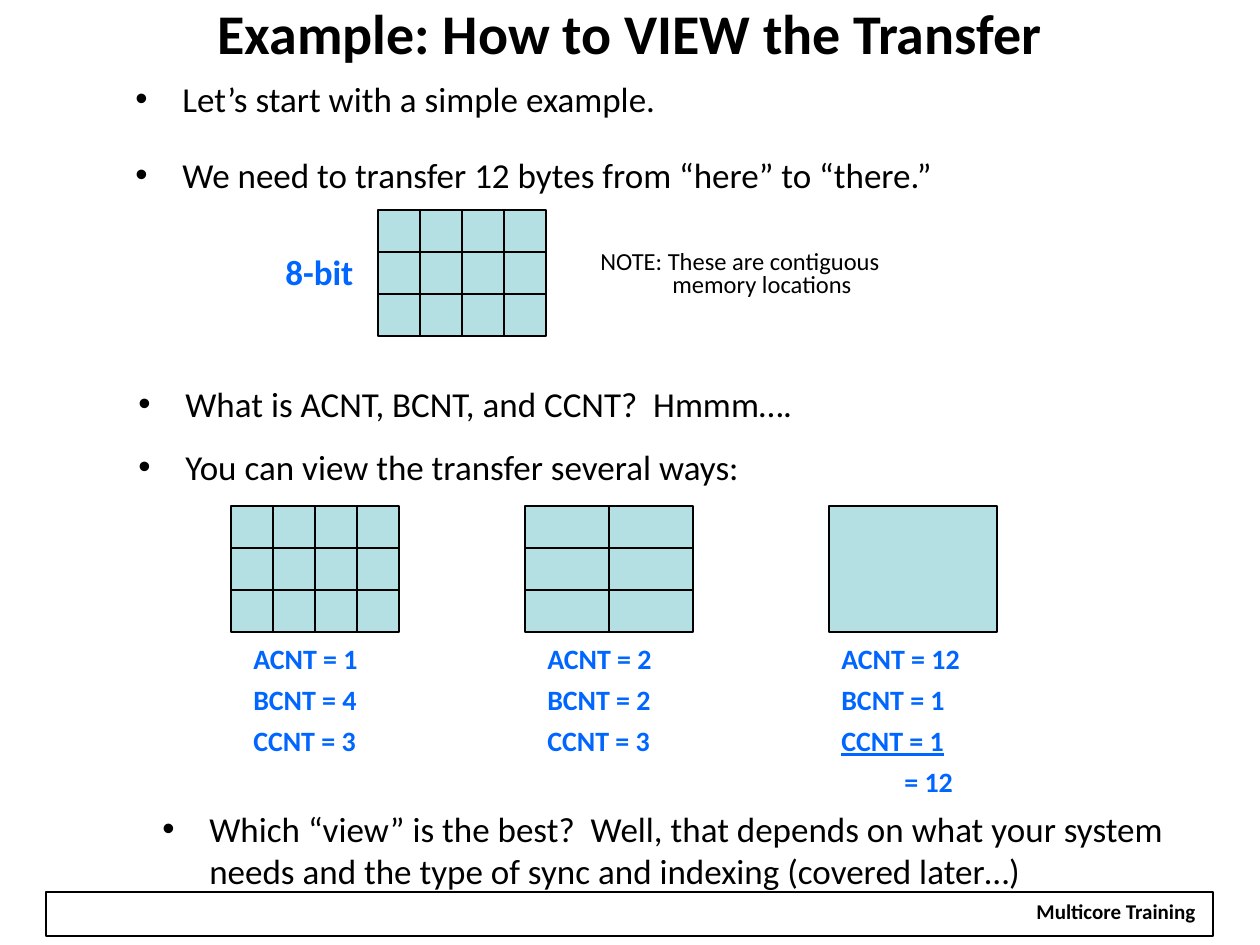
from lxml import etree
from pptx import Presentation
from pptx.dml.color import RGBColor
from pptx.enum.shapes import MSO_SHAPE
from pptx.enum.text import MSO_ANCHOR, MSO_AUTO_SIZE, PP_ALIGN
from pptx.oxml.ns import qn
from pptx.util import Emu, Pt

RECT = MSO_SHAPE.RECTANGLE
TOP, MIDDLE = MSO_ANCHOR.TOP, MSO_ANCHOR.MIDDLE
LEFT, CENTER = PP_ALIGN.LEFT, PP_ALIGN.CENTER
BLACK = RGBColor(0x00, 0x00, 0x00)
BLUE = RGBColor(0x00, 0x66, 0xFF)
TEAL = RGBColor(0xB5, 0xE0, 0xE3)
FONT = "Calibri"
PX_PER_INCH = 126
GRID_W, GRID_H = 168, 126


def px(n):
    return Emu(round(n * 914400 / PX_PER_INCH))


def add_rect(shapes, x, y, w, h, line_width, fill=None):
    sp = shapes.add_shape(RECT, px(x), px(y), px(w), px(h))
    sp.shadow.inherit = False
    if fill is None:
        sp.fill.background()
    else:
        sp.fill.solid()
        sp.fill.fore_color.rgb = fill
    sp.line.color.rgb = BLACK
    sp.line.width = Pt(line_width)


def write(p, text, size=20, color=BLACK, bold=False, underline=None, align=LEFT,
          spacing=0.8, before=0, margin=0, indent=0, bullet=None, tab=None):
    """Fill and format one paragraph."""
    p.alignment = align
    p.line_spacing = spacing
    p.space_before = Pt(before)
    pPr = p._p.get_or_add_pPr()
    pPr.set("marL", str(px(margin)))
    pPr.set("indent", str(px(indent)))
    if bullet:
        etree.SubElement(pPr, qn("a:buFont")).set("typeface", "Arial")
        etree.SubElement(pPr, qn("a:buChar")).set("char", bullet)
    if tab:
        stop = etree.SubElement(etree.SubElement(pPr, qn("a:tabLst")), qn("a:tab"))
        stop.set("pos", str(px(tab)))
        stop.set("algn", "l")
    p.text = text
    for r in p.runs:
        r.font.name = FONT
        r.font.size = Pt(size)
        r.font.bold = bold
        r.font.underline = underline
        r.font.color.rgb = color


def add_text(s, x, y, w, h, lines, anchor=TOP, before=0, **fmt):
    """Add a text box; each line is a string or a (string, format) pair."""
    tf = s.shapes.add_textbox(px(x), px(y), px(w), px(h)).text_frame
    tf.word_wrap = True
    tf.vertical_anchor = anchor
    for i, line in enumerate(lines):
        text, extra = (line, {}) if isinstance(line, str) else line
        p = tf.add_paragraph() if i else tf.paragraphs[0]
        write(p, text, before=before if i else 0, **{**fmt, **extra})


def add_title(s, x, y, w, h, text):
    sp = s.shapes.title
    sp.left, sp.top, sp.width, sp.height = px(x), px(y), px(w), px(h)
    tf = sp.text_frame
    tf.auto_size = MSO_AUTO_SIZE.NONE
    tf.vertical_anchor = TOP
    tf.margin_left = tf.margin_right = tf.margin_top = tf.margin_bottom = px(6)
    write(tf.paragraphs[0], text, size=32, bold=True, align=CENTER, spacing=0.75)


def add_footer(s, x, y, w, h):
    add_rect(s.shapes, x, y, w, h, 0.75)
    add_text(s, x + w - 190, y + 5, 186, 33, ["Multicore Training"],
             size=12, bold=True, align=CENTER)


def add_bullets(s, x, y, w, h, lines, spacing):
    add_text(s, x, y, w, h, lines, anchor=MIDDLE, spacing=spacing, before=9.5,
             margin=47, indent=-47, bullet="•")


def add_grid(s, x, y, rows, cols):
    group = s.shapes.add_group_shape()
    w, h = GRID_W // cols, GRID_H // rows
    for row in range(rows):
        for col in range(cols):
            add_rect(group.shapes, x + col * w, y + row * h, w, h, 1.5, TEAL)


def add_memory(s, x, y):
    """Draw the 12 bytes with their width label and note."""
    add_text(s, x, y + 42, 98, 46, ["8-bit"], color=BLUE, bold=True)
    add_grid(s, x + 105, y, 3, 4)
    add_text(s, x + 315, y + 35, 312, 60,
             ["NOTE: These are contiguous\vmemory locations"],
             size=14, margin=72, indent=-72)


def add_view(s, x, y, rows, cols, label_dx, counts):
    """Draw one view of the transfer with its counts below."""
    add_grid(s, x, y, rows, cols)
    add_text(s, x + label_dx, y + 136, 150, 128, counts,
             size=16, color=BLUE, bold=True, before=8)


def main():
    prs = Presentation()
    prs.slide_width, prs.slide_height = px(1260), px(945)
    s = prs.slides.add_slide(prs.slide_layouts[5])

    add_footer(s, 46, 892, 1167, 44)
    add_title(s, 0, 8, 1260, 84, "Example: How to VIEW the Transfer")
    add_bullets(s, 123, 52, 830, 152,
                ["Let’s start with a simple example.",
                 "We need to transfer 12 bytes from “here” to “there.”"], 1.4)
    add_memory(s, 273, 210)
    add_bullets(s, 126, 347, 692, 84, ["What is ACNT, BCNT, and CCNT?  Hmmm…."], 1.7)
    add_bullets(s, 126, 410, 656, 84, ["You can view the transfer several ways:"], 1.7)

    views = [
        (231, 3, 4, 10, ["ACNT = 1", "BCNT = 4", "CCNT = 3"]),
        (525, 3, 2, 10, ["ACNT = 2", "BCNT = 2", "CCNT = 3"]),
        (829, 1, 1, 0, ["ACNT = 12", "BCNT = 1",
                        ("CCNT = 1\t", {"underline": True, "tab": 115}),
                        ("= 12", {"margin": 63})]),
    ]
    for x, rows, cols, label_dx, counts in views:
        add_view(s, x, 506, rows, cols, label_dx, counts)

    add_bullets(s, 150, 801, 1031, 97,
                ["Which “view” is the best?  Well, that depends on what your system "
                 "needs and the type of sync and indexing (covered later…)"], 1.0)
    prs.save("out.pptx")


if __name__ == "__main__":
    main()
